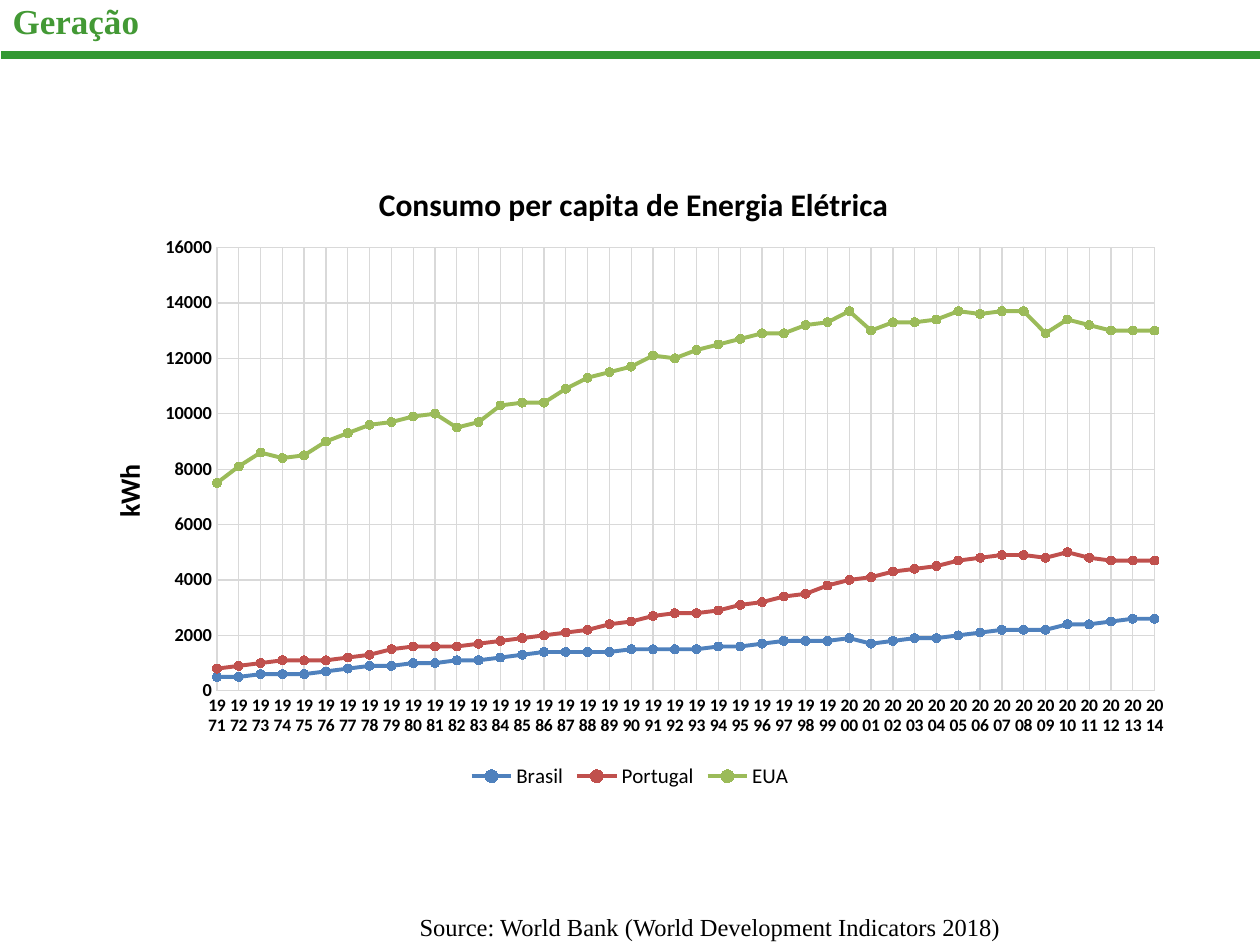
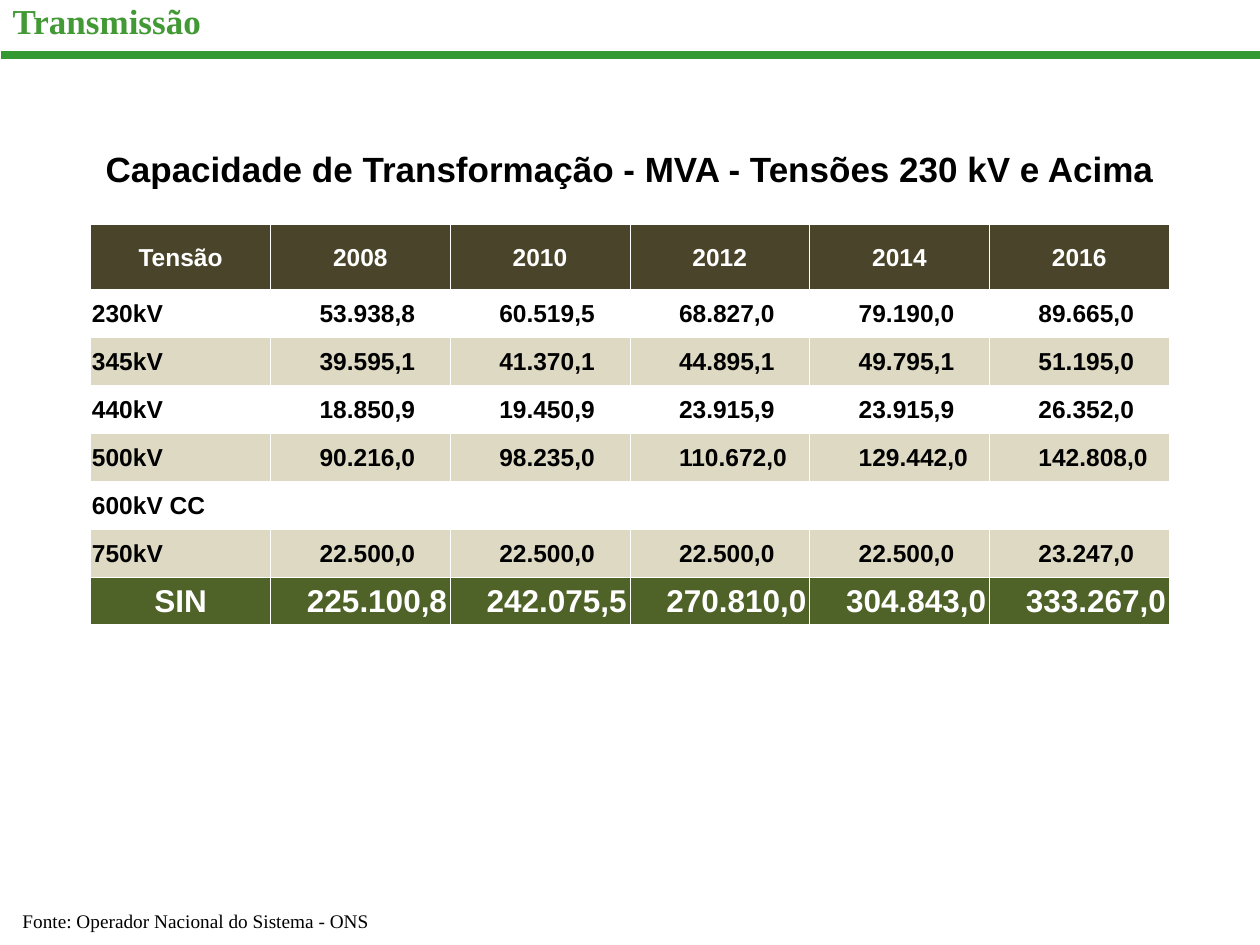
import pptx
import pptx.chart.data
import pptx.dml.color
import pptx.enum.chart
import pptx.enum.shapes
import pptx.enum.text
import pptx.oxml
import pptx.oxml.ns
import pptx.util
from lxml import etree

Inches, Pt = pptx.util.Inches, pptx.util.Pt
qn = pptx.oxml.ns.qn
ALIGN, ANCHOR = pptx.enum.text.PP_ALIGN, pptx.enum.text.MSO_ANCHOR

# Shared style
BLACK, WHITE, GRID = "000000", "FFFFFF", "D9D9D9"
BAND_GREEN, TITLE_GREEN = "339933", "439935"
HEADER_BROWN, STRIPE_BEIGE, TOTAL_GREEN = "4A452A", "DDD9C3", "4F6228"
SERIF, SANS, CHART_FONT = "Times New Roman", "Arial", "Calibri"

# Consumption per person, kWh, in hundreds
FIRST_YEAR = 1971
CONSUMPTION = {
    "Brasil": ("4F81BD", [
        5, 5, 6, 6, 6, 7, 8, 9, 9, 10, 10, 11, 11, 12, 13, 14, 14, 14, 14, 15, 15, 15,
        15, 16, 16, 17, 18, 18, 18, 19, 17, 18, 19, 19, 20, 21, 22, 22, 22, 24, 24, 25, 26, 26]),
    "Portugal": ("C0504D", [
        8, 9, 10, 11, 11, 11, 12, 13, 15, 16, 16, 16, 17, 18, 19, 20, 21, 22, 24, 25, 27, 28,
        28, 29, 31, 32, 34, 35, 38, 40, 41, 43, 44, 45, 47, 48, 49, 49, 48, 50, 48, 47, 47, 47]),
    "EUA": ("9BBB59", [
        75, 81, 86, 84, 85, 90, 93, 96, 97, 99, 100, 95, 97, 103, 104, 104, 109, 113, 115, 117,
        121, 120, 123, 125, 127, 129, 129, 132, 133, 137, 130, 133, 133, 134, 137, 136, 137, 137,
        129, 134, 132, 130, 130, 130]),
}

CAPACITY_TITLE = "Capacidade de Transformação - MVA - Tensões 230 kV e Acima"
CAPACITY = [
    ["Tensão", "2008", "2010", "2012", "2014", "2016"],
    ["230kV", "53.938,8", "60.519,5", "68.827,0", "79.190,0", "89.665,0"],
    ["345kV", "39.595,1", "41.370,1", "44.895,1", "49.795,1", "51.195,0"],
    ["440kV", "18.850,9", "19.450,9", "23.915,9", "23.915,9", "26.352,0"],
    ["500kV", "90.216,0", "98.235,0", "110.672,0", "129.442,0", "142.808,0"],
    ["600kV CC", "", "", "", "", ""],
    ["750kV", "22.500,0", "22.500,0", "22.500,0", "22.500,0", "23.247,0"],
    ["SIN", "225.100,8", "242.075,5", "270.810,0", "304.843,0", "333.267,0"],
]


def rgb(value):
    return pptx.dml.color.RGBColor.from_string(value)


def style_font(font, color=BLACK, **formats):
    font.color.rgb = rgb(color)
    for name, value in formats.items():
        setattr(font, name, value)


def style_line(line, color, width):
    line.color.rgb = rgb(color)
    line.width = Pt(width)


def place(shape, left, top, width, height):
    for name, value in dict(left=left, top=top, width=width, height=height).items():
        setattr(shape, name, Inches(value))


def write(paragraph, text, align, **formats):
    paragraph.alignment = align
    run = paragraph.add_run()
    run.text = text
    style_font(run.font, **formats)


# Slide frame: title and green band
def add_titled_slide(presentation, title):
    slide = presentation.slides.add_slide(presentation.slide_layouts[5])
    band = slide.shapes.add_connector(
        pptx.enum.shapes.MSO_CONNECTOR.STRAIGHT,
        Inches(0.01), Inches(0.44), Inches(10), Inches(0.44))
    style_line(band.line, BAND_GREEN, 4.5)
    etree.SubElement(band._element.spPr, qn("a:effectLst"))
    place(slide.shapes.title, 0, -0.08, 9.69, 0.48)
    frame = slide.shapes.title.text_frame
    frame.vertical_anchor = ANCHOR.MIDDLE
    write(frame.paragraphs[0], title, ALIGN.LEFT,
          color=TITLE_GREEN, size=Pt(20), name=SERIF, bold=True)
    return slide


def add_source_note(slide, text, box, size, align):
    shape = slide.shapes.add_textbox(*(Inches(value) for value in box))
    shape.text_frame.word_wrap = True
    shape.text_frame.auto_size = pptx.enum.text.MSO_AUTO_SIZE.SHAPE_TO_FIT_TEXT
    write(shape.text_frame.paragraphs[0], text, align, size=Pt(size), name=SERIF)


# Chart helpers
def chart_element(tag):
    return pptx.oxml.parse_xml(f'<c:{tag} {pptx.oxml.ns.nsdecls("c")}/>')


def set_layout(element, **fractions):
    """Fix a chart part at fractions of the chart area."""
    for old in element.findall(qn("c:layout")):
        element.remove(old)
    layout = chart_element("layout")
    manual = etree.SubElement(layout, qn("c:manualLayout"))
    settings = {"xMode": "edge", "yMode": "edge", **fractions}
    if "w" in fractions:
        settings = {"layoutTarget": "inner", **settings}
    for name, value in settings.items():
        etree.SubElement(manual, qn(f"c:{name}")).set("val", str(value))
    text = element.find(qn("c:tx"))
    element.insert(0 if text is None else 1, layout)


def cross_at_points(axis):
    """Start the lines on the value axis."""
    for old in axis._element.findall(qn("c:crossBetween")):
        axis._element.remove(old)
    crossing = chart_element("crossBetween")
    crossing.set("val", "midCat")
    axis._element.find(qn("c:crosses")).addnext(crossing)


def set_chart_title(owner, get_title, text, size, x, y):
    owner.has_title = True
    title = get_title(owner)
    write(title.text_frame.paragraphs[0], text, None,
          size=Pt(size), bold=True, name=CHART_FONT)
    set_layout(title._element, x=x, y=y)


def style_axis(axis, size):
    axis.has_major_gridlines = True
    style_line(axis.major_gridlines.format.line, GRID, 0.75)
    axis.major_tick_mark = pptx.enum.chart.XL_TICK_MARK.NONE
    style_font(axis.tick_labels.font, size=Pt(size), bold=True, name=CHART_FONT)


def add_consumption_chart(slide):
    data = pptx.chart.data.CategoryChartData()
    count = len(CONSUMPTION["Brasil"][1])
    data.categories = [str(FIRST_YEAR + index) for index in range(count)]
    for name, (_, hundreds) in CONSUMPTION.items():
        data.add_series(name, [value * 100 for value in hundreds])
    chart = slide.shapes.add_chart(
        pptx.enum.chart.XL_CHART_TYPE.LINE_MARKERS,
        Inches(0.57), Inches(1.2), Inches(8.86), Inches(5.1), data).chart
    style_font(chart.font, size=Pt(10), name=CHART_FONT)

    # Axes
    years, kwh = chart.category_axis, chart.value_axis
    style_axis(years, 10)
    style_line(years.format.line, GRID, 0.75)
    years._element.find(qn("c:txPr")).find(qn("a:bodyPr")).set("rot", "0")
    style_axis(kwh, 10.5)
    kwh.format.line.fill.background()
    kwh.minimum_scale, kwh.maximum_scale, kwh.major_unit = 0, 16000, 2000
    cross_at_points(kwh)

    # Titles, plot area and legend
    set_chart_title(chart, lambda owner: owner.chart_title,
                    "Consumo per capita de Energia Elétrica", 18, 0.27, 0.04)
    set_chart_title(kwh, lambda owner: owner.axis_title, "kWh", 16, 0.03, 0.48)
    body = kwh.axis_title.text_frame._txBody.find(qn("a:bodyPr"))
    body.set("rot", "-5400000")
    body.set("vert", "horz")
    set_layout(kwh._element.getparent(), x=0.13, y=0.15, w=0.84, h=0.69)
    chart.has_legend = True
    chart.legend.position = pptx.enum.chart.XL_LEGEND_POSITION.BOTTOM
    chart.legend.include_in_layout = False
    style_font(chart.legend.font, size=Pt(12), name=CHART_FONT)

    # Series
    chart.plots[0].vary_by_categories = False
    for series in chart.plots[0].series:
        color = CONSUMPTION[series.name][0]
        series.smooth = False
        style_line(series.format.line, color, 2.25)
        series.marker.style = pptx.enum.chart.XL_MARKER_STYLE.CIRCLE
        series.marker.size = 5
        series.marker.format.fill.solid()
        series.marker.format.fill.fore_color.rgb = rgb(color)
        style_line(series.marker.format.line, color, 0.75)


# Table helpers
def add_borders(cell, sides):
    properties = cell._tc.get_or_add_tcPr()
    for side in sides:
        border = etree.SubElement(properties, qn(f"a:ln{side}"), w=str(Pt(0.5)))
        fill = etree.SubElement(border, qn("a:solidFill"))
        etree.SubElement(fill, qn("a:srgbClr"), val=WHITE)


def fill_cell(cell, text="", fill=None, align=ALIGN.LEFT, anchor=ANCHOR.MIDDLE,
              indent=0.01, size=14, color=BLACK, sides="LRTB"):
    add_borders(cell, sides)
    margins = dict(margin_left=indent, margin_right=0.01, margin_top=0.01, margin_bottom=0)
    for name, value in margins.items():
        setattr(cell, name, Inches(value))
    cell.vertical_anchor = anchor
    if fill:
        cell.fill.solid()
        cell.fill.fore_color.rgb = rgb(fill)
    else:
        cell.fill.background()
    paragraph = cell.text_frame.paragraphs[0]
    if text:
        write(paragraph, text, align, color=color, size=Pt(size), name=SANS, bold=True)
    else:
        etree.SubElement(paragraph._p, qn("a:endParaRPr"), sz=str(size * 100))


def row_format(index):
    """Return the format of the row, its label alignment and its value indent."""
    if index == 0:
        return dict(fill=HEADER_BROWN, color=WHITE, align=ALIGN.CENTER), ALIGN.CENTER, 0.01
    if index == len(CAPACITY) - 1:
        return dict(fill=TOTAL_GREEN, color=WHITE, size=18), ALIGN.CENTER, 0.29
    return dict(fill=None if index % 2 else STRIPE_BEIGE), ALIGN.LEFT, 0.39


def add_capacity_table(slide):
    heights = [0.44, 0.27, 0.52] + [0.38] * (len(CAPACITY) - 1)
    columns = len(CAPACITY[0])
    table = slide.shapes.add_table(
        len(heights), columns, Inches(0.72), Inches(1.07),
        Inches(8.56), Inches(sum(heights))).table
    table.first_row = table.horz_banding = False
    for row, height in zip(table.rows, heights):
        row.height = Inches(height)

    # Title row and gap row
    table.cell(0, 0).merge(table.cell(0, columns - 1))
    fill_cell(table.cell(0, 0), CAPACITY_TITLE, align=ALIGN.CENTER,
              anchor=ANCHOR.BOTTOM, size=20, sides="")
    for column in range(columns):
        fill_cell(table.cell(1, column), sides="B")

    # Header, voltages and total
    for index, values in enumerate(CAPACITY):
        formats, label_align, indent = row_format(index)
        for column, text in enumerate(values):
            own = {"indent": indent} if column else {"align": label_align}
            fill_cell(table.cell(index + 2, column), text, **{**formats, **own})


def main():
    presentation = pptx.Presentation()
    presentation.slide_width, presentation.slide_height = Inches(10), Inches(7.5)

    generation = add_titled_slide(presentation, "Geração")
    add_source_note(generation, "Source: World Bank (World Development Indicators 2018)",
                    (2.09, 7.19, 7.09, 0.34), 14, ALIGN.CENTER)
    add_consumption_chart(generation)

    transmission = add_titled_slide(presentation, "Transmissão")
    add_capacity_table(transmission)
    add_source_note(transmission, "Fonte: Operador Nacional do Sistema - ONS",
                    (0.08, 7.17, 3.5, 0.29), 11, ALIGN.LEFT)

    presentation.save("out.pptx")


if __name__ == "__main__":
    main()
